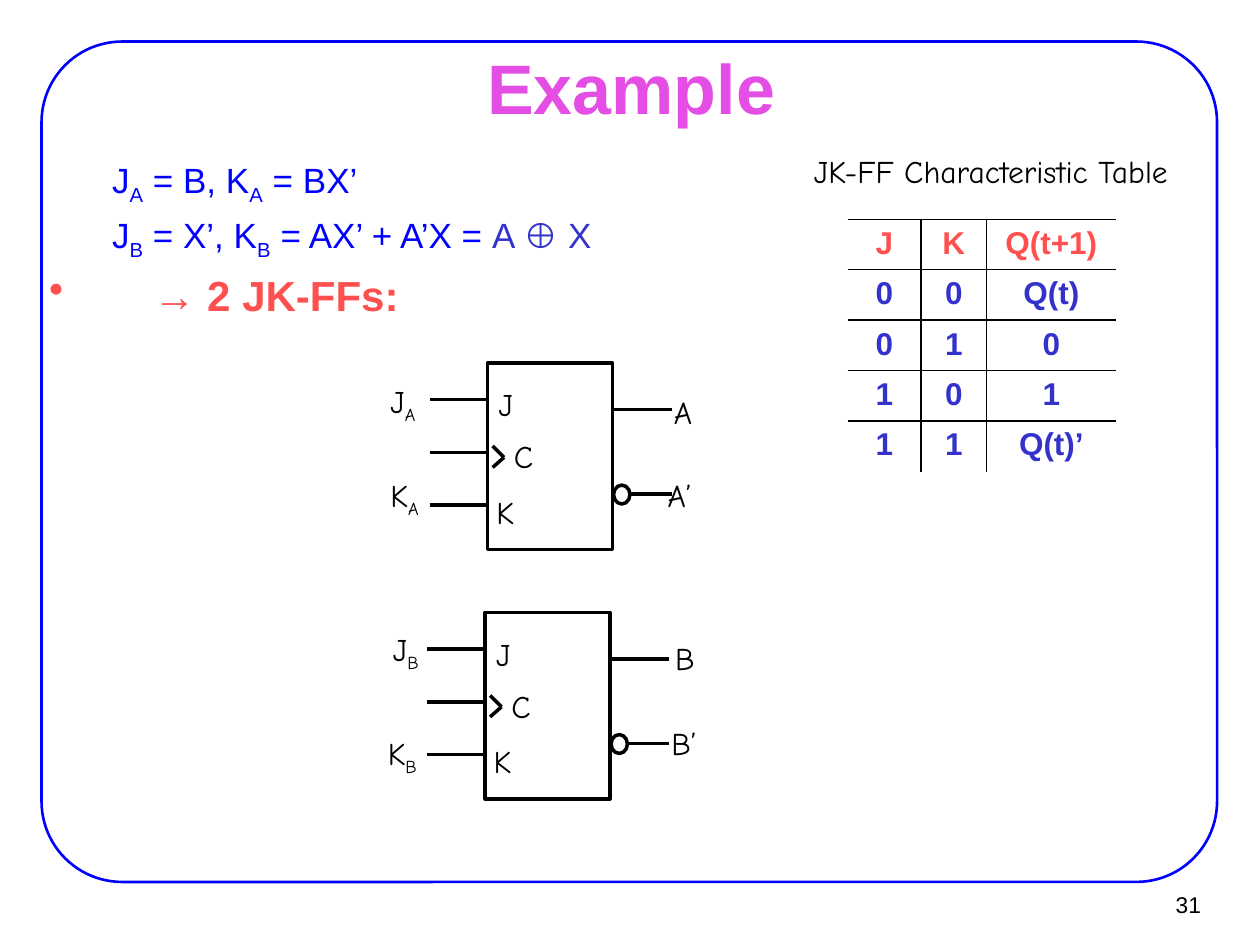
from lxml import etree
from pptx import Presentation
from pptx.dml.color import RGBColor
from pptx.enum.shapes import MSO_CONNECTOR, MSO_SHAPE
from pptx.enum.text import MSO_ANCHOR, MSO_AUTO_SIZE, PP_ALIGN
from pptx.oxml.ns import qn
from pptx.util import Inches, Pt

STRAIGHT = MSO_CONNECTOR.STRAIGHT
RECT, OVAL, ROUNDED = MSO_SHAPE.RECTANGLE, MSO_SHAPE.OVAL, MSO_SHAPE.ROUNDED_RECTANGLE
MIDDLE = MSO_ANCHOR.MIDDLE
FIT_SHAPE = MSO_AUTO_SIZE.SHAPE_TO_FIT_TEXT
CENTER, RIGHT = PP_ALIGN.CENTER, PP_ALIGN.RIGHT

BLACK = RGBColor(0x00, 0x00, 0x00)
BLUE = RGBColor(0x00, 0x00, 0xFF)
INDIGO = RGBColor(0x33, 0x33, 0xCC)
CORAL = RGBColor(0xFF, 0x50, 0x50)
PINK = RGBColor(0xE4, 0x4E, 0xE4)

TITLE = {"name": "Arial", "size": Pt(40), "bold": True}
EQUATION = {"name": "Arial", "size": Pt(20)}
RESULT = {"name": "Arial", "size": Pt(24), "bold": True}
CELL = {"name": "Arial", "size": Pt(18), "bold": True}
PAGE = {"name": "Arial", "size": Pt(13)}
LABEL = {"name": "Comic Neue", "size": Pt(18)}


def write_runs(paragraph, text, style, color):
    """Every second part between bars is a subscript."""
    for i, part in enumerate(text.split("|")):
        if not part:
            continue
        run = paragraph.add_run()
        run.text = part
        for key, value in style.items():
            setattr(run.font, key, value)
        run.font.color.rgb = color
        if i % 2:
            run.font._element.set("baseline", "-25000")


def add_text(at, text, style, color, align=None, **frame_format):
    frame = slide.shapes.add_textbox(*map(Inches, at)).text_frame
    for key, value in frame_format.items():
        setattr(frame, key, value)
    paragraph = frame.paragraphs[0]
    paragraph.alignment = align
    write_runs(paragraph, text, style, color)
    return frame


prs = Presentation()
prs.slide_width, prs.slide_height = Inches(10), Inches(7.5)
slide = prs.slides.add_slide(prs.slide_layouts[6])

# Slide border, title and page number
border = slide.shapes.add_shape(ROUNDED, *map(Inches, (0.33, 0.33, 9.33, 6.67)))
border.adjustments[0] = 0.096
border.shadow.inherit = False
border.fill.background()
border.line.color.rgb = BLUE
border.line.width = Pt(1.5)
add_text((0.76, 0.44, 8.5, 0.49), "Example", TITLE, PINK, CENTER,
         word_wrap=True, vertical_anchor=MIDDLE)
add_text((9.02, 6.99, 0.61, 0.37), "31", PAGE, BLACK, RIGHT,
         word_wrap=False, vertical_anchor=MIDDLE)

# Input equations and their result
equations = add_text((0.28, 1.2, 6.14, 1.84), "J|A| = B, K|A| = BX’", EQUATION, BLUE,
                     word_wrap=True, margin_left=Inches(0.11), margin_top=Inches(0.06))
second = equations.add_paragraph()
write_runs(second, "J|B| = X’, K|B| = AX’ + A’X = ", EQUATION, BLUE)
write_runs(second, "A ⊕ X", EQUATION, INDIGO)
result = equations.add_paragraph()
write_runs(result, "→ 2 JK-FFs:", RESULT, CORAL)
for paragraph in equations.paragraphs:
    left, indent = (0.83, -0.83) if paragraph is equations.paragraphs[-1] else (0.81, -0.31)
    if paragraph._p is result._p:
        left, indent = 0.83, -0.83
    props = paragraph._p.get_or_add_pPr()
    props.set("marL", str(Inches(left)))
    props.set("indent", str(Inches(indent)))
    before = etree.SubElement(props, qn("a:spcBef"))
    etree.SubElement(before, qn("a:spcPct")).set("val", "20000")
etree.SubElement(result._p.pPr, qn("a:buChar")).set("char", "•")

# Two JK flip-flops: corner of the body, then the outside labels
FLIP_FLOPS = [
    (3.87, 2.88, [("J|A", 3, 2.98, 0.49), ("K|A", 3, 3.73, 0.48),
                  ("A", 5.25, 3.07, 0.38), ("A’", 5.2, 3.73, 0.43)]),
    (3.85, 4.86, [("J|B", 3.02, 4.95, 0.47), ("K|B", 2.98, 5.78, 0.46),
                  ("B", 5.26, 5.02, 0.36), ("B’", 5.23, 5.7, 0.4)]),
]
PINS = [("J", -0.01, 0.13, 0.37), ("C", 0.11, 0.54, 0.35), ("K", -0.03, 0.98, 0.35)]
WIRES = [
    (-0.46, 0.29, 0, 0.29), (-0.46, 0.71, 0, 0.71), (-0.46, 1.13, 0, 1.13),  # inputs
    (1, 0.37, 1.46, 0.37), (1.13, 1.04, 1.46, 1.04),  # outputs
    (0.04, 0.66, 0.13, 0.75), (0.13, 0.75, 0.04, 0.83),  # clock mark
]
OUTLINES = [(RECT, 0, 0, 0.99, 1.48), (OVAL, 1, 0.97, 0.13, 0.15)]

for x, y, labels in FLIP_FLOPS:
    for kind, dx, dy, width, height in OUTLINES:
        outline = slide.shapes.add_shape(kind, *map(Inches, (x + dx, y + dy, width, height)))
        outline.shadow.inherit = False
        outline.fill.background()
        outline.line.color.rgb = BLACK
        outline.line.width = Pt(2)
    for x1, y1, x2, y2 in WIRES:
        wire = slide.shapes.add_connector(
            STRAIGHT, *map(Inches, (x + x1, y + y1, x + x2, y + y2)))
        wire.line.color.rgb = BLACK
        wire.line.width = Pt(2)
        etree.SubElement(wire._element.spPr, qn("a:effectLst"))
    pins = [(name, x + dx, y + dy, width) for name, dx, dy, width in PINS]
    for name, left, top, width in pins + labels:
        add_text((left, top, width, 0.45), name, LABEL, BLACK,
                 word_wrap=False, auto_size=FIT_SHAPE)

# Characteristic table
add_text((6.16, 1.16, 3.41, 0.4), "JK-FF Characteristic Table", LABEL, BLACK, CENTER,
         word_wrap=False, auto_size=FIT_SHAPE)
STATES = [("J", "K", "Q(t+1)"), ("0", "0", "Q(t)"), ("0", "1", "0"),
          ("1", "0", "1"), ("1", "1", "Q(t)’")]
table = slide.shapes.add_table(5, 3, *map(Inches, (6.73, 1.74, 2.13, 2))).table
table.first_row = table.horz_banding = False
for column, width in zip(table.columns, (0.58, 0.52, 1.03)):
    column.width = Inches(width)
for r, state in enumerate(STATES):
    table.rows[r].height = Inches(0.4)
    for c, value in enumerate(state):
        cell = table.cell(r, c)
        paragraph = cell.text_frame.paragraphs[0]
        paragraph.alignment = CENTER
        write_runs(paragraph, value, CELL, INDIGO if r else CORAL)
        # The grid is open at the left, right and bottom
        edges = {"a:lnL": c > 0, "a:lnR": c < 2, "a:lnT": True, "a:lnB": r < 4}
        for tag, drawn in edges.items():
            edge = etree.SubElement(cell._tc.get_or_add_tcPr(), qn(tag), w=str(Pt(1)))
            if drawn:
                fill = etree.SubElement(edge, qn("a:solidFill"))
                etree.SubElement(fill, qn("a:srgbClr")).set("val", str(BLACK))
            else:
                etree.SubElement(edge, qn("a:noFill"))
        cell.fill.background()

prs.save("out.pptx")
